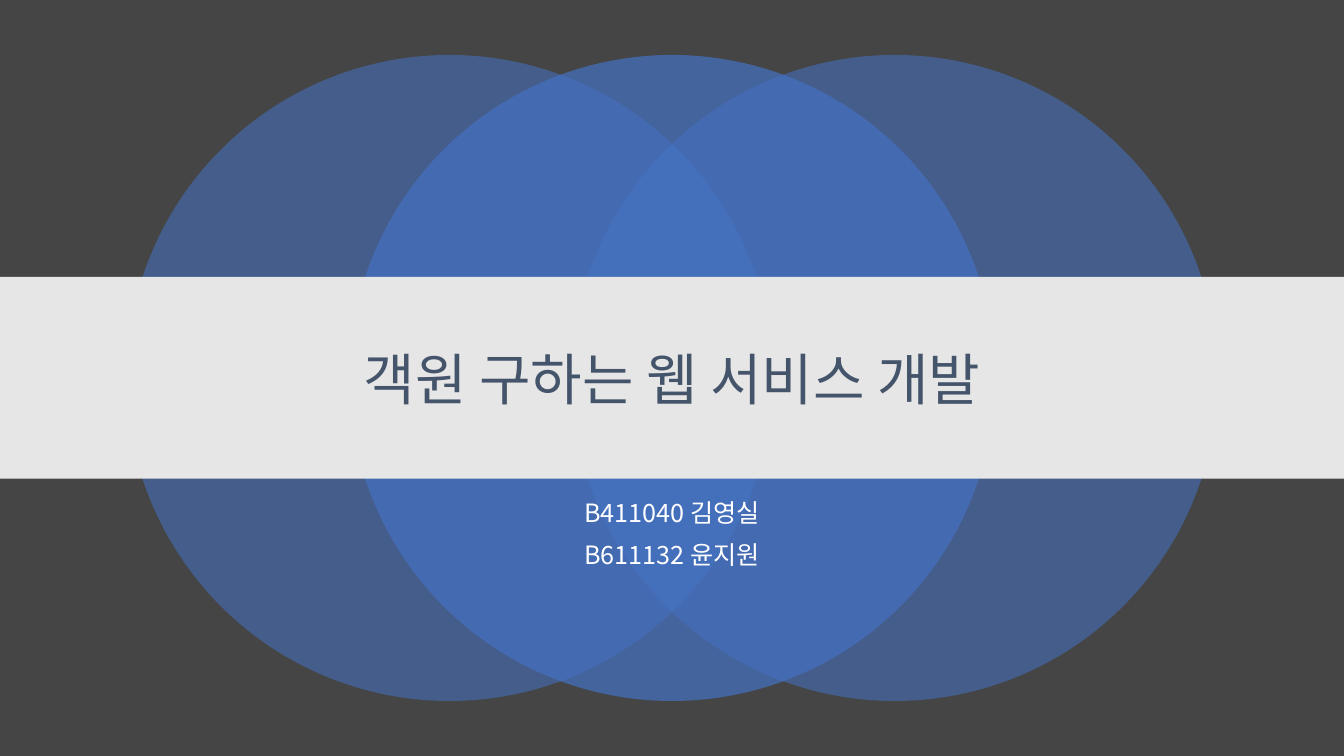
import pptx
import pptx.dml.color
import pptx.enum.shapes
import pptx.enum.text
import pptx.oxml.ns
import pptx.util
from lxml import etree

Cm = pptx.util.Cm
Pt = pptx.util.Pt
Shapes = pptx.enum.shapes.MSO_SHAPE
Anchor = pptx.enum.text.MSO_ANCHOR

# Content
TITLE = ["객원 구하는 웹 서비스 개발"]
AUTHORS = ["B411040 김영실", "B611132 윤지원"]
FONT = "Noto Sans CJK KR"
COLORS = {
    "background": "454545",
    "circle": "4472C4",
    "band": "E7E6E6",
    "title": "44546A",
    "authors": "FFFFFF",
}
# Steps from the slide centre and opacity in percent, back to front
CIRCLES = [(-1, 55), (1, 55), (0, 70)]

# Layout in centimetres
SLIDE_W, SLIDE_H = 33.87, 19.05
DIAMETER, CIRCLE_STEP = 16.28, 5.61
BAND_TOP, BAND_H = 6.98, 5.08
TEXT_W = 25.4


def rgb(name):
    return pptx.dml.color.RGBColor.from_string(COLORS[name])


def add_filled(slide, preset, box, color, opacity=100):
    shape = slide.shapes.add_shape(preset, *map(Cm, box))
    shape.shadow.inherit = False
    shape.line.fill.background()
    shape.fill.solid()
    shape.fill.fore_color.rgb = rgb(color)
    if opacity < 100:
        tint = shape.fill._xPr.find(".//" + pptx.oxml.ns.qn("a:srgbClr"))
        etree.SubElement(tint, pptx.oxml.ns.qn("a:alpha"), val=str(opacity * 1000))


def add_centered_text(slide, lines, top, height, size, color, anchor, space_before=0):
    box = map(Cm, ((SLIDE_W - TEXT_W) / 2, top, TEXT_W, height))
    frame = slide.shapes.add_textbox(*box).text_frame
    frame.word_wrap = True
    frame.vertical_anchor = anchor
    frame.text = "\n".join(lines)
    for paragraph in frame.paragraphs:
        paragraph.alignment = pptx.enum.text.PP_ALIGN.CENTER
        paragraph.line_spacing = 0.9
        paragraph.space_before = Pt(space_before)
        paragraph.font.size = Pt(size)
        paragraph.font.name = FONT
        paragraph.font.color.rgb = rgb(color)
        # Korean letters take the East Asian typeface
        etree.SubElement(paragraph.font._element, pptx.oxml.ns.qn("a:ea"), typeface=FONT)


def main():
    deck = pptx.Presentation()
    deck.slide_width, deck.slide_height = Cm(SLIDE_W), Cm(SLIDE_H)
    slide = deck.slides.add_slide(deck.slide_layouts[6])
    slide.background.fill.solid()
    slide.background.fill.fore_color.rgb = rgb("background")

    # Overlapping circles
    for step, opacity in CIRCLES:
        left = (SLIDE_W - DIAMETER) / 2 + step * CIRCLE_STEP
        top = (SLIDE_H - DIAMETER) / 2
        add_filled(slide, Shapes.OVAL, (left, top, DIAMETER, DIAMETER), "circle", opacity)

    # Authors, then the band with the title
    add_centered_text(slide, AUTHORS, 12.5, 2.11, 18, "authors", Anchor.TOP, space_before=10)
    add_filled(slide, Shapes.RECTANGLE, (0, BAND_TOP, SLIDE_W, BAND_H), "band")
    add_centered_text(slide, TITLE, 7.72, 3.84, 40, "title", Anchor.MIDDLE)

    deck.save("out.pptx")


if __name__ == "__main__":
    main()
